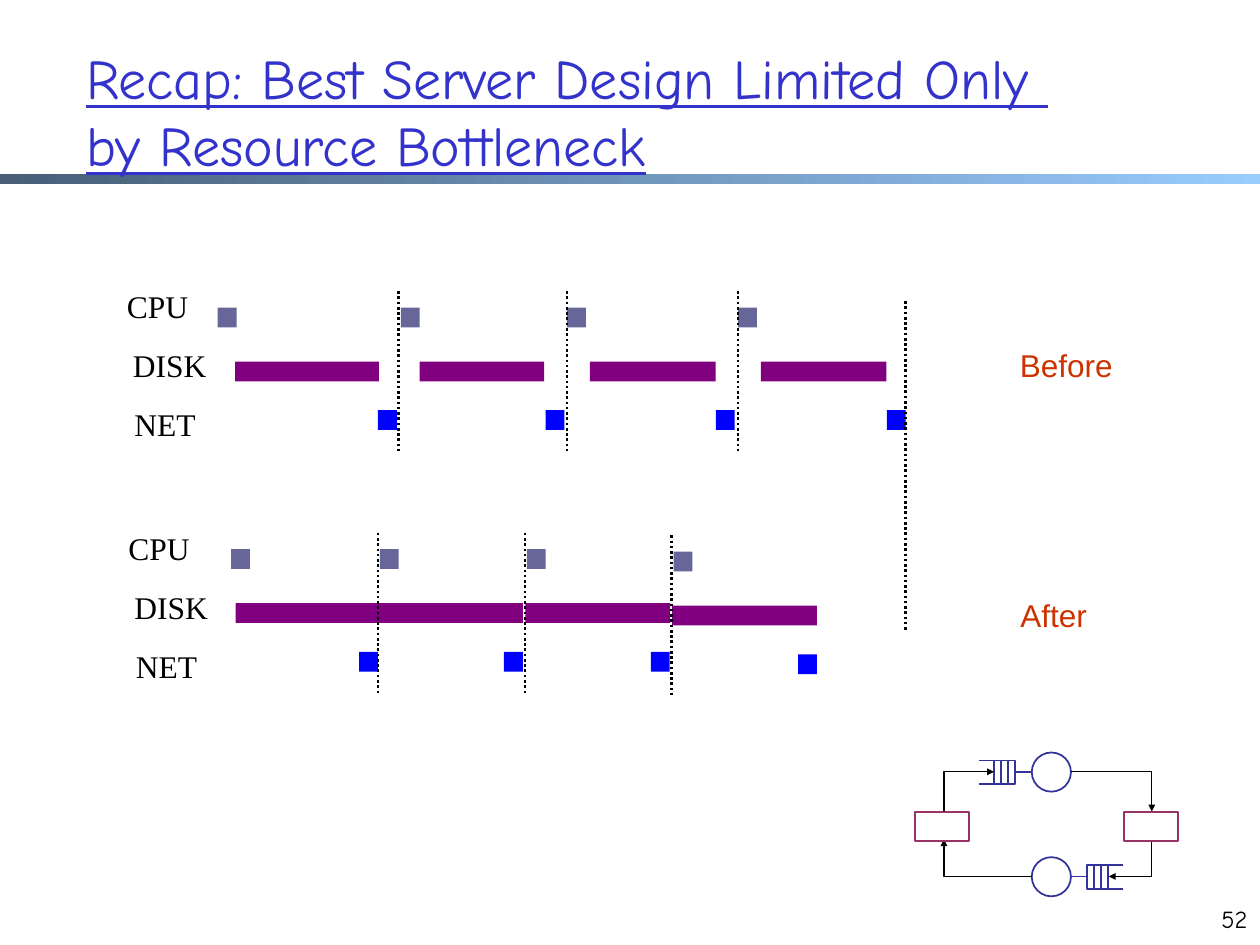
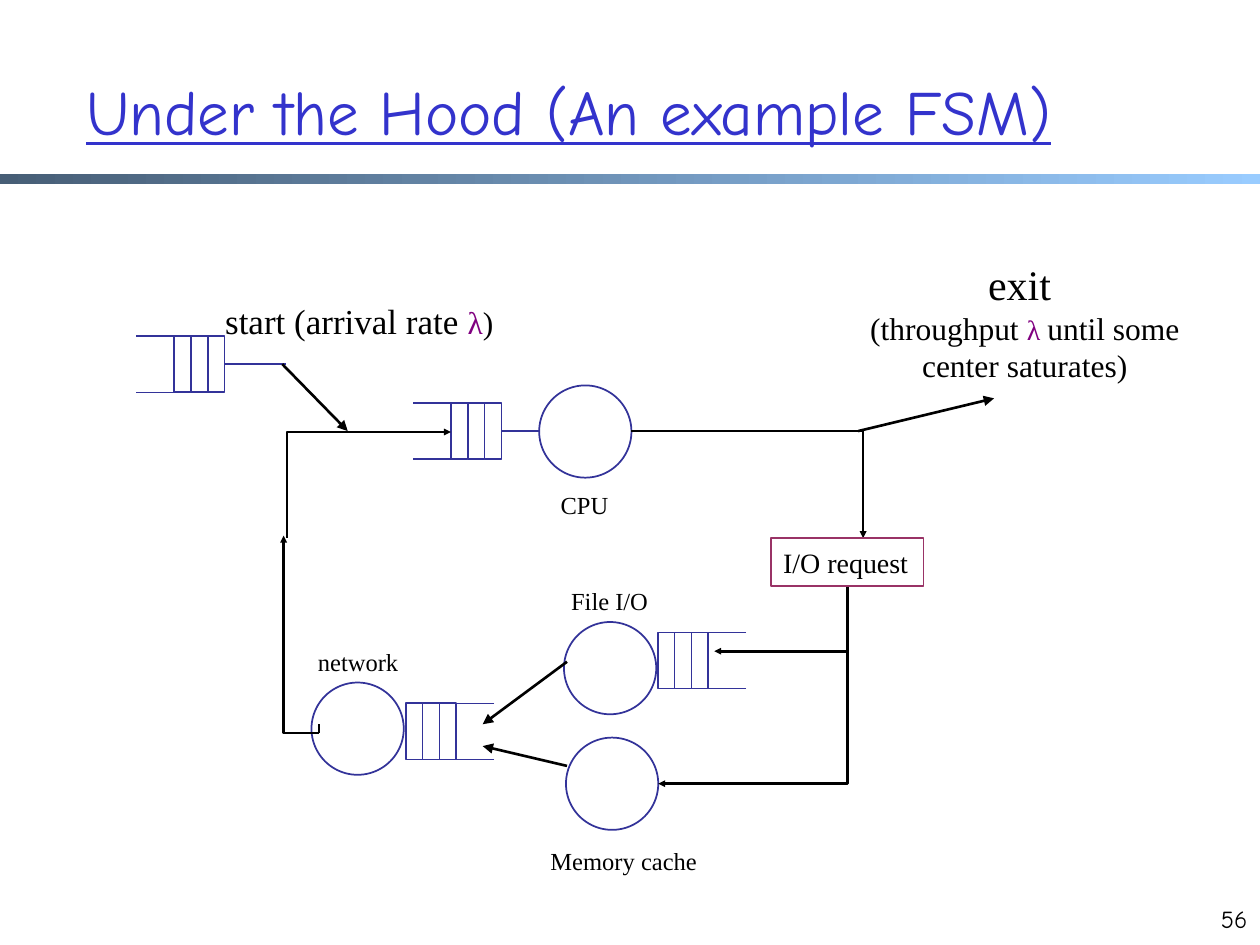
"""Builds two slides on server resource bottlenecks and the queueing model behind them."""
from lxml import etree
from pptx import Presentation
from pptx.dml.color import RGBColor
from pptx.enum.dml import MSO_LINE
from pptx.enum.shapes import MSO_CONNECTOR, MSO_SHAPE
from pptx.enum.text import MSO_ANCHOR, PP_ALIGN
from pptx.oxml.ns import qn
from pptx.util import Cm, Pt

BLACK = RGBColor(0x00, 0x00, 0x00)
WHITE = RGBColor(0xFF, 0xFF, 0xFF)
TITLE_BLUE = RGBColor(0x33, 0x33, 0xCC)
INDIGO = RGBColor(0x33, 0x33, 0x99)
PLUM = RGBColor(0x99, 0x33, 0x66)
PURPLE = RGBColor(0x80, 0x00, 0x80)
SLATE = RGBColor(0x66, 0x66, 0x99)
BLUE = RGBColor(0x00, 0x00, 0xFF)
RUST = RGBColor(0xCC, 0x33, 0x00)
BAND_DARK = RGBColor(0x47, 0x5E, 0x76)
BAND_LIGHT = RGBColor(0x99, 0xCC, 0xFF)
COMIC, SERIF, SANS = "Comic Neue", "Times New Roman", "Arial"
LEFT, CENTER, RIGHT = PP_ALIGN.LEFT, PP_ALIGN.CENTER, PP_ALIGN.RIGHT

BLOCK_W, BLOCK_H = 0.38, 0.4
LANES = [("CPU", 2.31), ("DISK", 2.43), ("NET", 2.46)]
LANE_W, LANE_STEP = 2.2, 1.19
CPU_Y, DISK_Y, NET_Y, DIVIDER_H = 0.33, 1.42, 2.4, 3.23
TIMELINES = [
    {"top": 5.87, "shift": 0, "name": ("Before", 20.31, 6.86, 2.39),
     "stages": [(4.39, 4.74, 2.9, 7.62, 0), (8.08, 8.46, 2.51, 11, 0),
                (11.43, 11.89, 2.54, 14.43, 0), (14.88, 15.34, 2.53, 17.88, 0)],
     "dividers": [(8.04, 0), (11.43, 0), (14.88, 0)]},
    {"top": 10.74, "shift": 0.03, "name": ("After", 20.32, 11.89, 1.85),
     "stages": [(4.66, 4.75, 2.92, 7.24, 0), (7.66, 7.62, 2.92, 10.16, 0),
                (10.62, 10.59, 2.92, 13.12, 0), (13.58, 13.55, 2.92, 16.09, 0.05)],
     "dividers": [(7.62, 0), (10.58, 0), (13.54, 0.05)]},
]
FINISH = [(18.26, 6.07), (18.26, 12.7)]

LOOP = {
    "cell": (0.14, 0.48), "lip": 0.3, "circle": 0.79, "weight": 0.75,
    "queues": [(20.04, 15.33, "left"), (21.92, 17.44, "right")],
    "stems": [[(20.47, 15.56), (20.8, 15.56)], [(21.92, 17.67), (21.59, 17.67)]],
    "circles": [(20.8, 15.17), (20.8, 17.28)],
    "elbows": [((21.59, 15.56), (23.22, 16.36), "across"),
               ((23.22, 16.94), (22.35, 17.67), "down"),
               ((20.8, 17.67), (19.03, 16.92), "across"),
               ((19.03, 16.36), (20.04, 15.56), "down")],
    "arrows": [], "ticks": [],
    "boxes": [(18.44, 16.37, 1.09, 0.58, ""), (22.66, 16.37, 1.09, 0.58, "")],
}
FSM = {
    "cell": (0.34, 1.13), "lip": 0.76, "circle": 1.86, "weight": 1.5,
    "queues": [(9.09, 8.13, "left"), (3.51, 6.78, "left"),
               (13.26, 12.75, "right"), (8.18, 14.18, "right")],
    "stems": [[(10.1, 8.69), (10.87, 8.69)], [(4.52, 7.34), (5.77, 7.34)]],
    "circles": [(10.87, 7.77), (11.37, 12.54), (11.41, 14.87), (6.28, 13.76)],
    "elbows": [((12.73, 8.69), (17.4, 10.85), "across"),
               ((17.09, 11.81), (14.4, 13.13), "down"),
               ((5.79, 10.85), (9.09, 8.71), "down"),
               ((17.09, 13.13), (13.27, 15.8), "down"),
               ((6.43, 14.78), (5.72, 10.8), "across")],
    "arrows": [[(17.3, 8.69), (20.04, 8.03)], [(5.69, 7.34), (7.01, 8.69)],
               [(11.43, 13.34), (9.73, 14.6)], [(11.43, 15.44), (9.73, 15.04)]],
    "ticks": [[(6.43, 14.6), (6.43, 14.78)]],
    "boxes": [(15.54, 10.85, 3.08, 0.97, "I/O request")],
}
CENTER_NAMES = [("CPU", 11.05, 9.75, 1.47), ("File I/O", 11.25, 11.68, 2.08),
                ("Memory cache", 10.82, 16.93, 3.51), ("network", 6.14, 12.91, 2.16)]
START = [[("start (arrival rate ", 20, BLACK), ("λ", 18, PURPLE), (")", 18, BLACK)]]
EXIT = [[("exit ", 24, BLACK)],
        [("(throughput ", 18, BLACK), ("λ ", 16, PURPLE), ("until some", 18, BLACK)],
        [("center saturates)", 18, BLACK)]]


def write(frame, paragraphs, font=SERIF, align=LEFT):
    for index, runs in enumerate(paragraphs):
        paragraph = frame.add_paragraph() if index else frame.paragraphs[0]
        paragraph.alignment = align
        for text, size, color in runs:
            run = paragraph.add_run()
            run.text = text
            run.font.name, run.font.size = font, Pt(size)
            run.font.color.rgb = color


def add_text(slide, box, paragraphs, font=SERIF, align=LEFT, wrap=False):
    frame = slide.shapes.add_textbox(*map(Cm, box)).text_frame
    frame.word_wrap = wrap
    write(frame, paragraphs, font, align)


def add_block(slide, box, fill, line=None, kind=MSO_SHAPE.RECTANGLE):
    shape = slide.shapes.add_shape(kind, *map(Cm, box))
    shape.shadow.inherit = False
    shape.fill.solid()
    shape.fill.fore_color.rgb = fill
    if line is None:
        shape.line.fill.background()
    else:
        shape.line.color.rgb, shape.line.width = line, Pt(1)
    return shape


def add_line(slide, start, end, color=BLACK, weight=1.0, arrow=None, head_size="med",
             kind=MSO_CONNECTOR.STRAIGHT):
    line = slide.shapes.add_connector(kind, *map(Cm, (*start, *end)))
    line.line.color.rgb, line.line.width = color, Pt(weight)
    if arrow:
        etree.SubElement(line.line._get_or_add_ln(), qn(f"a:{arrow}"),
                         type="triangle", w=head_size, len=head_size)
    etree.SubElement(line._element.spPr, qn("a:effectLst"))
    return line


def add_elbow(slide, start, end, first_leg, weight):
    across = first_leg == "across"
    begin, finish = (start, end) if across else (end, start)
    elbow = add_line(slide, begin, finish, BLACK, weight,
                     "tailEnd" if across else "headEnd", "sm", MSO_CONNECTOR.ELBOW)
    elbow._element.spPr.find(qn("a:prstGeom")).set("prst", "bentConnector2")


def add_queue(slide, x, y, open_side, cell, lip):
    width, height = cell
    for index in range(3):
        add_block(slide, (x + index * width, y, width, height), WHITE, INDIGO)
    edge, tip = (x, x - lip) if open_side == "left" else (x + 3 * width, x + 3 * width + lip)
    for level in (y, y + height):
        add_line(slide, (tip, level), (edge, level), INDIGO)


def add_network(slide, net):
    for x, y, open_side in net["queues"]:
        add_queue(slide, x, y, open_side, net["cell"], net["lip"])
    for start, end in net["stems"]:
        add_line(slide, start, end, INDIGO)
    for x, y in net["circles"]:
        add_block(slide, (x, y, net["circle"], net["circle"]), WHITE, INDIGO, MSO_SHAPE.OVAL)
    for start, end, first_leg in net["elbows"]:
        add_elbow(slide, start, end, first_leg, net["weight"])
    for start, end in net["arrows"]:
        add_line(slide, start, end, BLACK, net["weight"], "tailEnd")
    for start, end in net["ticks"]:
        add_line(slide, start, end, BLACK, net["weight"])
    for *box, text in net["boxes"]:
        frame = add_block(slide, box, WHITE, PLUM).text_frame
        if text:
            frame.word_wrap = False
            write(frame, [[(text, 16, BLACK)]])


def add_divider(slide, start, end):
    add_line(slide, start, end, BLACK, 1.5).line.dash_style = MSO_LINE.ROUND_DOT


def add_timeline(slide, line):
    top = line["top"]
    for index, (lane, x) in enumerate(LANES):
        box = (x + line["shift"], top - 0.2 + index * LANE_STEP, LANE_W, 1.02)
        add_text(slide, box, [[(lane, 18, BLACK)]], wrap=True)
    for cpu_x, disk_x, disk_w, net_x, drop in line["stages"]:
        y = top + drop
        add_block(slide, (cpu_x, y + CPU_Y, BLOCK_W, BLOCK_H), SLATE)
        add_block(slide, (disk_x, y + DISK_Y, disk_w, BLOCK_H), PURPLE)
        add_block(slide, (net_x, y + NET_Y, BLOCK_W, BLOCK_H), BLUE)
    for x, drop in line["dividers"]:
        add_divider(slide, (x, top + drop), (x, top + drop + DIVIDER_H))
    name, x, y, width = line["name"]
    add_text(slide, (x, y, width, 1.02), [[(name, 18, RUST)]], SANS)


def add_layout_band(slide, layout):
    band = add_block(slide, (0, 3.51, 25.4, 0.2), BAND_DARK)
    band.fill.gradient()
    band.fill.gradient_angle = 0
    for stop, color, place in zip(band.fill.gradient_stops, (BAND_DARK, BAND_LIGHT), (0, 1)):
        stop.color.rgb, stop.position = color, place
    layout.shapes._spTree.append(band._element)


def new_slide(prs, layout, title, size, number):
    slide = prs.slides.add_slide(layout)
    holder = slide.shapes.title
    holder.left, holder.top, holder.width, holder.height = map(Cm, (1.48, 0.64, 21.59, 3.18))
    frame = holder.text_frame
    frame.text = title
    frame.word_wrap, frame.vertical_anchor = True, MSO_ANCHOR.MIDDLE
    frame.paragraphs[0].alignment = LEFT
    for run in frame.paragraphs[0].runs:
        run.font.name, run.font.size, run.font.underline = COMIC, Pt(size), True
        run.font.color.rgb = TITLE_BLUE
    add_text(slide, (24.13, 18.09, 1.27, 1.27), [[(number, 14, BLACK)]], COMIC, RIGHT, True)
    return slide


def main():
    prs = Presentation()
    prs.slide_width, prs.slide_height = Cm(25.4), Cm(19.05)
    layout = prs.slide_layouts[5]

    recap = new_slide(prs, layout,
                      "Recap: Best Server Design Limited Only \vby Resource Bottleneck", 32, "52")
    add_layout_band(recap, layout)
    add_network(recap, LOOP)
    for timeline in TIMELINES:
        add_timeline(recap, timeline)
    add_divider(recap, *FINISH)

    hood = new_slide(prs, layout, "Under the Hood (An example FSM)", 36, "56")
    add_network(hood, FSM)
    for name, x, y, width in CENTER_NAMES:
        add_text(hood, (x, y, width, 0.86), [[(name, 14, BLACK)]], align=CENTER)
    add_text(hood, (4.29, 5.92, 6.07, 2.11), START, wrap=True)
    add_text(hood, (17.28, 5.08, 6.76, 3.99), EXIT, align=CENTER)

    prs.save("out.pptx")


main()
